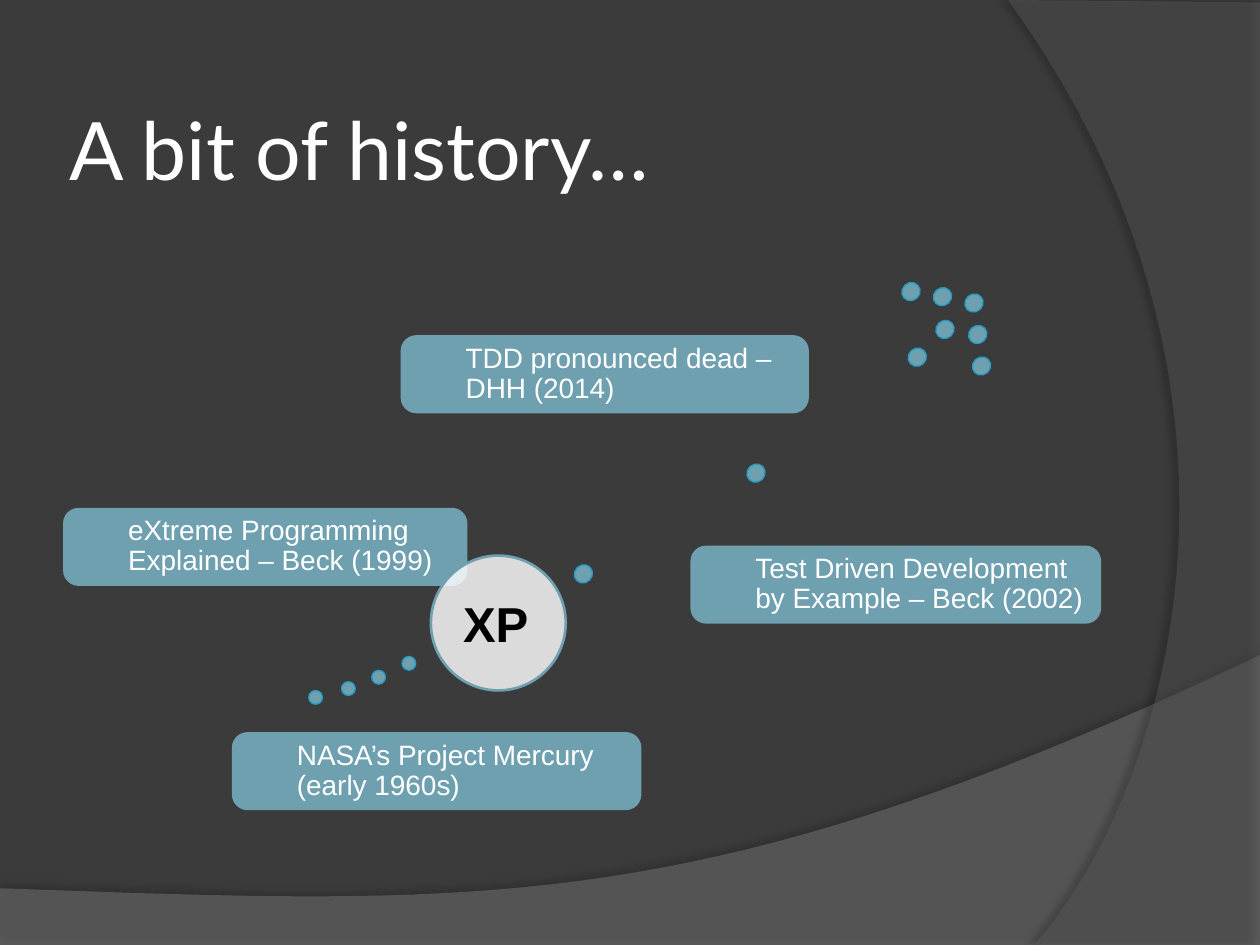
from lxml import etree
from pptx import Presentation
from pptx.dml.color import RGBColor
from pptx.enum.shapes import MSO_SHAPE as Kind
from pptx.enum.text import MSO_ANCHOR as Anchor, PP_ALIGN as Align
from pptx.oxml.ns import qn
from pptx.util import Inches, Pt

TITLE = "A bit of history…"
TEAL, EDGE, WHITE, BLACK = "6EA0B0", "239BC2", "FFFFFF", "000000"

WAVES = [
    dict(line=[(0, 7.05), (0, 7.5), (10, 7.5), (10, 5.2)],
         curve=[(5.59, 7.29), (3.91, 7.19), (0, 7.05)],
         fill="7F7F7F", alpha=45, shade=35, dist=3.5, turn=270),
    dict(line=[(10, 0.02), (10, 7.5), (8.21, 7.5)],
         curve=[(9.35, 6.19), (10.18, 3), (8, 0)],
         fill="5E5E5E", alpha=40, shade=45, dist=4, turn=180),
]
EVENTS = [
    ("Test Driven Development by Example – Beck (2002)", 5.48, 4.33, 3.26),
    ("TDD pronounced dead –DHH (2014)", 3.18, 2.66, 3.24),
    ("NASA’s Project Mercury (early 1960s)", 1.84, 5.81, 3.25),
    ("eXtreme Programming Explained – Beck (1999)", 0.5, 4.03, 3.21),
]
SMALL = [(3.19, 5.21), (2.95, 5.32), (2.71, 5.41), (2.45, 5.48)]
LARGE = [(7.16, 2.24), (7.41, 2.28), (7.66, 2.33), (7.69, 2.58), (7.72, 2.83),
         (7.43, 2.54), (7.21, 2.76), (5.93, 3.68), (4.56, 4.48)]


def color(code):
    return RGBColor.from_string(code)


def paint(shape, fill, edge=None, width=0.75, alpha=100):
    shape.shadow.inherit = False
    shape.fill.solid()
    shape.fill.fore_color.rgb = color(fill)
    if alpha < 100:
        tone = shape.fill._xPr.find(qn("a:solidFill"))[0]
        etree.SubElement(tone, qn("a:alpha"), val=str(alpha * 1000))
    if edge:
        shape.line.color.rgb = color(edge)
        shape.line.width = Pt(width)
    else:
        shape.line.fill.background()


def add(kind, x, y, w, h):
    return slide.shapes.add_shape(kind, *map(Inches, (x, y, w, h)))


def write(shape, text, size, tint, font="Arial", pads=None, bold=False,
          align=Align.LEFT):
    frame = shape.text_frame
    frame.word_wrap = True
    frame.vertical_anchor = Anchor.MIDDLE
    if pads:
        (frame.margin_left, frame.margin_top,
         frame.margin_right, frame.margin_bottom) = map(Inches, pads)
    para = frame.paragraphs[0]
    para.alignment = align
    run = para.add_run()
    run.text = text
    run.font.size = Pt(size)
    run.font.name = font
    run.font.bold = bold
    run.font.color.rgb = color(tint)
    return para


def bend(start, one, two, end, steps=40):
    for i in range(1, steps + 1):
        t = i / steps
        u = 1 - t
        yield tuple(u**3 * a + 3 * u * u * t * b + 3 * u * t * t * c + t**3 * d
                    for a, b, c, d in zip(start, one, two, end))


def add_wave(line, curve, fill, alpha, shade, dist, turn):
    points = [*line, *bend(line[-1], *curve)]
    spots = [(Inches(x), Inches(y)) for x, y in points]
    pen = slide.shapes.build_freeform(*spots[0], scale=1.0)
    pen.add_line_segments(spots[1:], close=True)
    shape = pen.convert_to_shape()
    paint(shape, fill, alpha=alpha)
    glow = shape._element.spPr.find(qn("a:effectLst"))
    drop = etree.SubElement(glow, qn("a:outerShdw"), blurRad=str(Pt(4)),
                            dist=str(Pt(dist)), dir=str(turn * 60000),
                            algn="ctr", rotWithShape="0")
    tone = etree.SubElement(drop, qn("a:srgbClr"), val=BLACK)
    etree.SubElement(tone, qn("a:alpha"), val=str(shade * 1000))


def add_dots(spots, w, h, turn=0):
    for x, y in spots:
        dot = add(Kind.OVAL, x, y, w, h)
        dot.rotation = turn
        paint(dot, TEAL, EDGE)


deck = Presentation()
deck.slide_width, deck.slide_height = Inches(10), Inches(7.5)
slide = deck.slides.add_slide(deck.slide_layouts[6])
slide.background.fill.solid()
slide.background.fill.fore_color.rgb = color("3B3B3B")

for wave in WAVES:
    add_wave(**wave)

head = slide.shapes.add_textbox(*map(Inches, (0.5, 0.55, 8.17, 1.25)))
write(head, TITLE, 46, WHITE, "Lato", [0.05] * 4)

for text, x, y, w in EVENTS:
    box = add(Kind.ROUNDED_RECTANGLE, x, y, w, 0.62)
    box.adjustments[0] = 0.2
    paint(box, TEAL)
    para = write(box, text, 16, WHITE, pads=(0.48, 0.03, 0.03, 0.03))
    para.line_spacing = 0.9

add_dots(SMALL, 0.11, 0.11)
add_dots(LARGE, 0.14, 0.15, 46.5)

badge = add(Kind.OVAL, 3.42, 4.41, 1.07, 1.07)
paint(badge, WHITE, TEAL, 1.5, 82)
write(badge, "XP", 28, BLACK, bold=True, align=Align.JUSTIFY)

deck.save("out.pptx")
